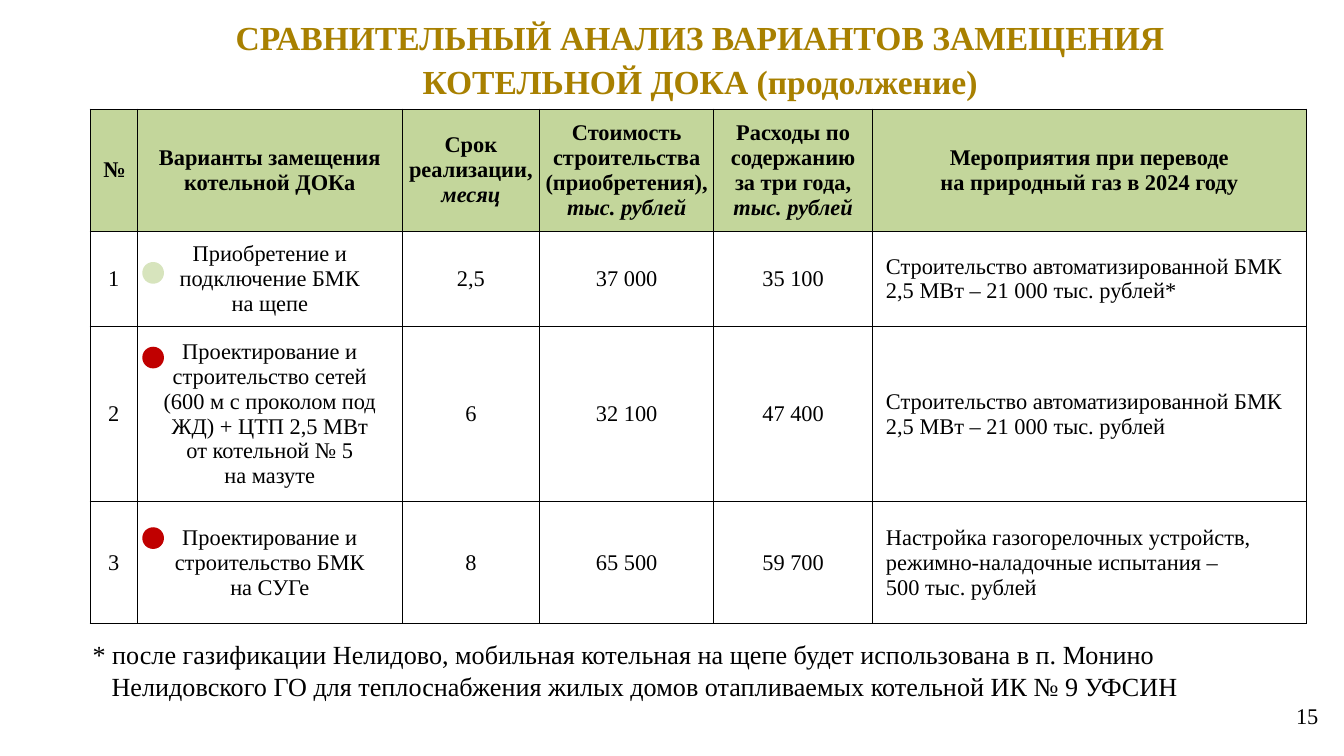
from lxml import etree
from pptx import Presentation
from pptx.dml.color import RGBColor
from pptx.enum.shapes import MSO_SHAPE
from pptx.enum.text import MSO_ANCHOR, PP_ALIGN
from pptx.oxml.ns import qn
from pptx.util import Cm, Pt

LEFT, CENTER = PP_ALIGN.LEFT, PP_ALIGN.CENTER
MIDDLE, TOP = MSO_ANCHOR.MIDDLE, MSO_ANCHOR.TOP
DOT = MSO_SHAPE.FLOWCHART_CONNECTOR
FONT = "Times New Roman"
BLACK, GOLD, GREEN = "000000", "A88000", "C3D69B"

# Content: a vertical tab is a line break, a newline starts a paragraph
TITLE = "СРАВНИТЕЛЬНЫЙ АНАЛИЗ ВАРИАНТОВ ЗАМЕЩЕНИЯ\nКОТЕЛЬНОЙ ДОКА (продолжение)"
NOTE = ("* после газификации Нелидово, мобильная котельная на щепе будет использована в п. Монино\n"
        "Нелидовского ГО для теплоснабжения жилых домов отапливаемых котельной ИК № 9 УФСИН")
PAGE = "15"
HEAD = [  # label, unit in italics
    ("№", ""),
    ("Варианты замещения котельной ДОКа", ""),
    ("Срок реализации, ", "месяц"),
    ("Стоимость строительства (приобретения), ", "тыс. рублей"),
    ("Расходы по содержанию за три года,\v", "тыс. рублей"),
    ("Мероприятия при переводе\nна природный газ в 2024 году", ""),
]
ROWS = [
    ("1", "Приобретение и подключение БМК\nна щепе", "2,5", "37 000", "35 100",
     "Строительство автоматизированной БМК 2,5 МВт – 21 000 тыс. рублей*"),
    ("2", "Проектирование и строительство сетей (600 м с проколом под ЖД) + ЦТП 2,5 МВт\n"
     "от котельной № 5\nна мазуте", "6", "32 100", "47 400",
     "Строительство автоматизированной БМК 2,5 МВт – 21 000 тыс. рублей"),
    ("3", "Проектирование и строительство БМК\nна СУГе", "8", "65 500", "59 700",
     "Настройка газогорелочных устройств, режимно-наладочные испытания – \v500 тыс. рублей"),
]
WIDTHS = [0.9, 5, 2.6, 3.29, 3, 8.2]
HEIGHTS = [2.31, 1.8, 3.3, 2.31]
DOTS = [(4.95, "D7E4BD"), (6.55, "C00000"), (9.96, "C00000")]  # top, colour


def rgb(code):
    return RGBColor.from_string(code)


def style(frame, size, color=BLACK, bold=False, align=CENTER):
    for para in frame.paragraphs:
        para.alignment = align
        for run in para.runs:
            font = run.font
            font.name, font.size, font.bold = FONT, Pt(size), bold
            font.color.rgb = rgb(color)


def label(text, box, inset, anchor, size, **look):
    frame = slide.shapes.add_textbox(*map(Cm, box)).text_frame
    frame.word_wrap = True
    frame.vertical_anchor = anchor
    frame.margin_left = frame.margin_right = Cm(inset)
    frame.margin_top = frame.margin_bottom = Cm(inset / 2)
    frame.text = text
    style(frame, size, **look)
    return frame


def border(cell):
    props = cell._tc.get_or_add_tcPr()
    for i, side in enumerate(("lnL", "lnR", "lnT", "lnB")):
        line = etree.Element(qn("a:" + side), w=str(Pt(0.5)))
        fill = etree.SubElement(line, qn("a:solidFill"))
        etree.SubElement(fill, qn("a:srgbClr"), val=BLACK)
        props.insert(i, line)


deck = Presentation()
deck.slide_width, deck.slide_height = Cm(25.4), Cm(14.28)
slide = deck.slides.add_slide(deck.slide_layouts[6])

# Page number and title
label(PAGE, (24.31, 13.13, 0.79, 0.79), 0.13, MIDDLE, 12)
title = label(TITLE, (1.78, 0.15, 22.91, 1.8), 0.25, TOP, 18, color=GOLD, bold=True)
for para in title.paragraphs:
    para.line_spacing = 1.07

# Table
grid = slide.shapes.add_table(len(HEIGHTS), len(WIDTHS), Cm(1.7), Cm(2.06),
                              Cm(sum(WIDTHS)), Cm(sum(HEIGHTS))).table
for col, width in zip(grid.columns, WIDTHS):
    col.width = Cm(width)
for row, height in zip(grid.rows, HEIGHTS):
    row.height = Cm(height)

for c, (text, unit) in enumerate(HEAD):
    cell = grid.cell(0, c)
    frame = cell.text_frame
    frame.text = text
    if unit:
        run = frame.paragraphs[0].add_run()
        run.text = unit
        run.font.italic = True
    if c:
        pad = Cm(0 if c == 1 else 0.1)
        cell.margin_left = cell.margin_right = pad
        cell.margin_top = cell.margin_bottom = pad
    style(frame, 12, bold=True)
    cell.fill.solid()
    cell.fill.fore_color.rgb = rgb(GREEN)

for r, row in enumerate(ROWS, 1):
    for c, text in enumerate(row):
        cell = grid.cell(r, c)
        cell.text_frame.text = text
        style(cell.text_frame, 12, align=LEFT if c == len(row) - 1 else CENTER)
        cell.fill.background()

for cell in grid.iter_cells():
    cell.vertical_anchor = MIDDLE
    border(cell)

# Footnote, second line indented
note = label(NOTE, (1.5, 11.94, 21.49, 1.4), 0.25, TOP, 14, align=LEFT)
note.paragraphs[1]._p.get_or_add_pPr().set("marL", str(Cm(0.36)))

# Rating dots
for top, color in DOTS:
    dot = slide.shapes.add_shape(DOT, Cm(2.69), Cm(top), Cm(0.41), Cm(0.41))
    dot.shadow.inherit = False
    dot.fill.solid()
    dot.fill.fore_color.rgb = rgb(color)
    dot.line.fill.background()

deck.save("out.pptx")
